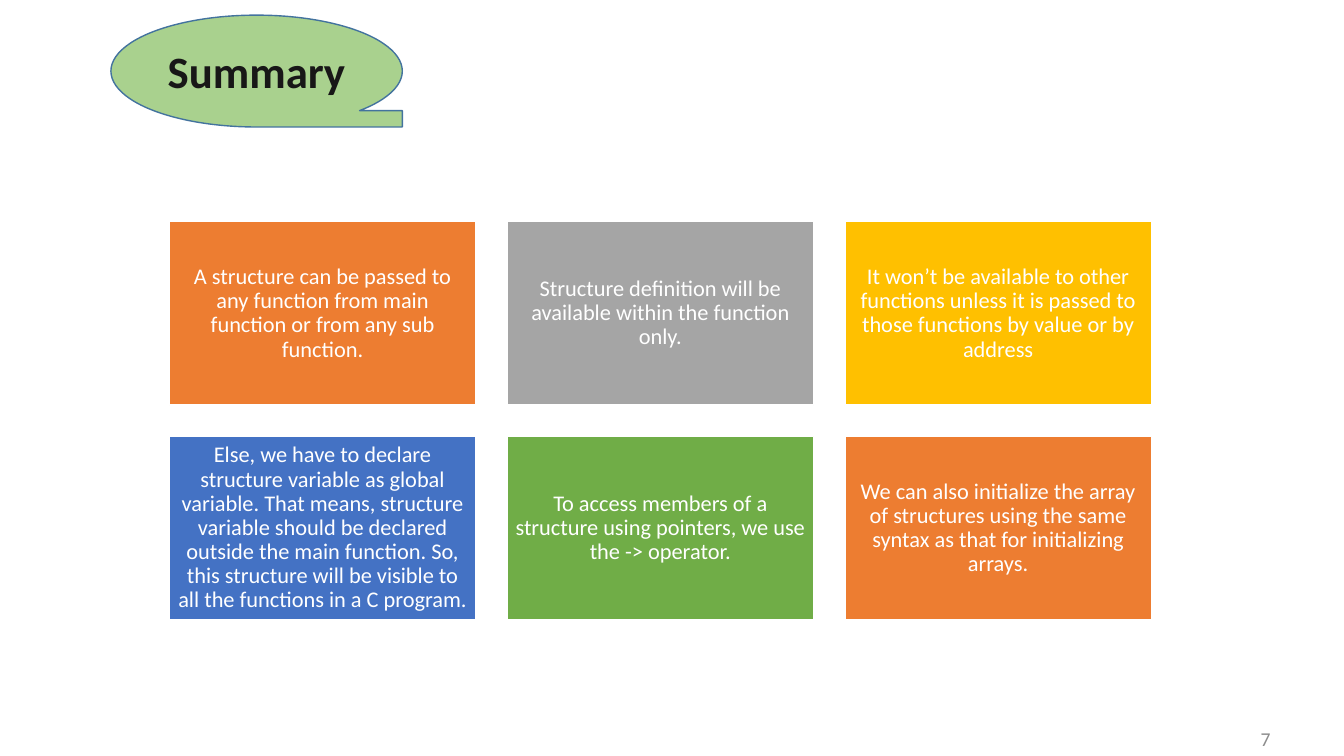
from dataclasses import dataclass

from pptx import Presentation
from pptx.dml.color import RGBColor
from pptx.enum.shapes import MSO_SHAPE
from pptx.enum.text import MSO_ANCHOR, PP_ALIGN
from pptx.shapes.autoshape import Shape
from pptx.slide import Slide
from pptx.util import Inches, Pt

RECTANGLE = MSO_SHAPE.RECTANGLE
TAPE = MSO_SHAPE.FLOWCHART_SEQUENTIAL_ACCESS_STORAGE
MIDDLE = MSO_ANCHOR.MIDDLE
CENTER, RIGHT = PP_ALIGN.CENTER, PP_ALIGN.RIGHT

FONT = "Calibri"
WHITE = "FFFFFF"

# Card grid
COLUMNS = 3
GRID_LEFT, GRID_TOP = 1.68, 2.2
CARD_WIDTH, CARD_HEIGHT = 3.04, 1.82
COLUMN_STEP, ROW_STEP = 3.35, 2.13
CARD_INSET = 0.07


@dataclass
class Card:
    text: str
    fill: str


CARDS = [
    Card("A structure can be passed to any function from main function "
         "or from any sub function.", "ED7D31"),
    Card("Structure definition will be available within the function only.",
         "A5A5A5"),
    Card("It won’t be available to other functions unless it is passed to "
         "those functions by value or by address", "FFC000"),
    Card("Else, we have to declare structure variable as global variable. "
         "That means, structure variable should be declared outside the main "
         "function. So, this structure will be visible to all the functions "
         "in a C program.", "4472C4"),
    Card("To access members of a structure using pointers, we use "
         "the -> operator.", "70AD47"),
    Card("We can also initialize the array of structures using the same "
         "syntax as that for initializing arrays.", "ED7D31"),
]


def color(value: str) -> RGBColor:
    return RGBColor.from_string(value)


def write_text(box: Shape, text: str, *, size: float, fill: str,
               bold: bool = False, align: PP_ALIGN = CENTER,
               spacing: float = 1.0, inset_x: float = 0.1,
               inset_y: float = 0.05) -> None:
    frame = box.text_frame
    frame.word_wrap = True
    frame.vertical_anchor = MIDDLE
    frame.margin_left = frame.margin_right = Inches(inset_x)
    frame.margin_top = frame.margin_bottom = Inches(inset_y)
    para = frame.paragraphs[0]
    para.alignment = align
    para.line_spacing = spacing
    span = para.add_run()
    span.text = text
    span.font.name = FONT
    span.font.size = Pt(size)
    span.font.bold = bold
    span.font.color.rgb = color(fill)


def add_box(page: Slide, kind: MSO_SHAPE, left: float, top: float,
            width: float, height: float, *, fill: str, line: str) -> Shape:
    box = page.shapes.add_shape(kind, Inches(left), Inches(top),
                                Inches(width), Inches(height))
    box.shadow.inherit = False
    box.fill.solid()
    box.fill.fore_color.rgb = color(fill)
    box.line.color.rgb = color(line)
    box.line.width = Pt(1)
    return box


def add_card(page: Slide, index: int, card: Card) -> None:
    row, column = divmod(index, COLUMNS)
    box = add_box(page, RECTANGLE, GRID_LEFT + column * COLUMN_STEP,
                  GRID_TOP + row * ROW_STEP, CARD_WIDTH, CARD_HEIGHT,
                  fill=card.fill, line=WHITE)
    write_text(box, card.text, size=16, fill=WHITE, spacing=0.9,
               inset_x=CARD_INSET, inset_y=CARD_INSET)


def main() -> None:
    deck = Presentation()
    deck.slide_width, deck.slide_height = Inches(13.33), Inches(7.5)
    page = deck.slides.add_slide(deck.slide_layouts[6])

    # Page number
    number = page.shapes.add_textbox(Inches(10.46), Inches(7.3),
                                     Inches(2.24), Inches(0.05))
    write_text(number, "7", size=14, fill="8C8C8C", align=RIGHT)

    # Title
    title = add_box(page, TAPE, 1.1, 0.15, 2.89, 1.11,
                    fill="A9D18E", line="43739E")
    write_text(title, "Summary", size=32, fill="181717", bold=True)

    # Summary cards
    for index, card in enumerate(CARDS):
        add_card(page, index, card)

    deck.save("out.pptx")


if __name__ == "__main__":
    main()
